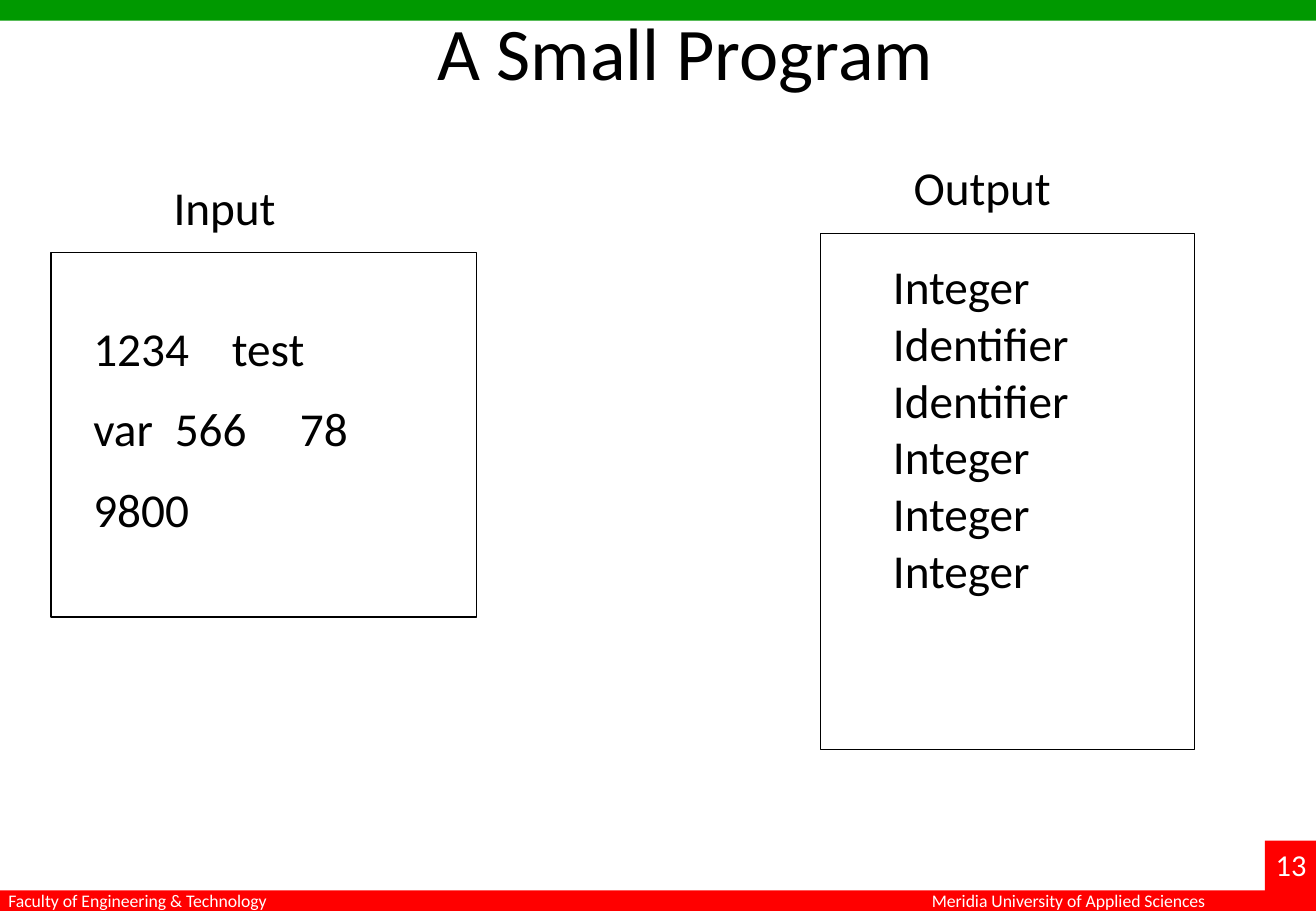
from dataclasses import dataclass
from typing import Optional

import pptx
import pptx.dml.color
import pptx.enum.shapes
import pptx.oxml.ns
import pptx.util
from lxml import etree
from pptx.util import Inches

GREEN = pptx.dml.color.RGBColor(0x00, 0x99, 0x00)
RED = pptx.dml.color.RGBColor(0xFF, 0x00, 0x00)
WHITE = pptx.dml.color.RGBColor(0xFF, 0xFF, 0xFF)
BLACK = pptx.dml.color.RGBColor(0x00, 0x00, 0x00)
FONT = "Calibri"
SLIDE_WIDTH = 10.83
SLIDE_HEIGHT = 7.5
BAND_HEIGHT = 0.17


@dataclass
class Box:
    left: float
    top: float
    width: float
    height: float
    fill: Optional[pptx.dml.color.RGBColor] = None


@dataclass
class Label:
    left: float
    top: float
    width: float
    height: float
    lines: tuple[str, ...]
    size: float = 28
    color: pptx.dml.color.RGBColor = BLACK
    space_after: float = 0
    tab_stops: tuple[tuple[float, ...], ...] = ()


BOXES = [
    Box(0, 0, SLIDE_WIDTH, BAND_HEIGHT, GREEN),
    Box(0, SLIDE_HEIGHT - BAND_HEIGHT, SLIDE_WIDTH, BAND_HEIGHT, RED),
    Box(10.41, 6.92, 0.42, 0.58, RED),
    Box(0.42, 2.08, 3.5, 3),
    Box(6.75, 1.92, 3.08, 4.25),
]

LABELS = [
    Label(-0.03, 7.28, 2.5, 0.28, ("Faculty of Engineering & Technology",), 10.5, WHITE),
    Label(7.57, 7.28, 2.7, 0.28, ("Meridia University of Applied Sciences",), 10.5, WHITE),
    Label(10.4, 6.92, 0.5, 0.4, ("13",), 18, WHITE),
    Label(3.5, 0, 4.4, 0.84, ("A Small Program",), 44),
    Label(1.33, 1.42, 1.2, 0.57, ("Input",)),
    Label(0.67, 2.58, 2.5, 1.99, ("1234\ttest", "var\t566\t78", "9800"),
          space_after=14, tab_stops=((1.14,), (0.67, 1.7), ())),
    Label(7.42, 1.25, 1.5, 0.57, ("Output",)),
    Label(7.25, 2.07, 1.9, 2.93,
          ("Integer", "Identifier", "Identifier", "Integer", "Integer", "Integer")),
]


def draw_box(slide: pptx.slide.Slide, box: Box) -> None:
    shape = slide.shapes.add_shape(
        pptx.enum.shapes.MSO_SHAPE.RECTANGLE,
        Inches(box.left), Inches(box.top), Inches(box.width), Inches(box.height))
    shape.shadow.inherit = False
    if box.fill is None:
        shape.fill.background()
        shape.line.color.rgb = BLACK
        shape.line.width = pptx.util.Pt(0.75)
    else:
        shape.fill.solid()
        shape.fill.fore_color.rgb = box.fill
        shape.line.fill.background()


def add_tab_stops(paragraph: pptx.text.text._Paragraph, stops: tuple[float, ...]) -> None:
    properties = paragraph._p.get_or_add_pPr()
    tab_list = etree.SubElement(properties, pptx.oxml.ns.qn("a:tabLst"))
    for stop in stops:
        etree.SubElement(tab_list, pptx.oxml.ns.qn("a:tab"), pos=str(Inches(stop)), algn="l")


def draw_label(slide: pptx.slide.Slide, label: Label) -> None:
    text_box = slide.shapes.add_textbox(
        Inches(label.left), Inches(label.top), Inches(label.width), Inches(label.height))
    text_frame = text_box.text_frame
    text_frame.word_wrap = True
    text_frame.text = "\n".join(label.lines)
    for paragraph, stops in zip(text_frame.paragraphs, label.tab_stops):
        if stops:
            add_tab_stops(paragraph, stops)
    for paragraph in text_frame.paragraphs:
        paragraph.space_after = pptx.util.Pt(label.space_after)
        paragraph.font.name = FONT
        paragraph.font.size = pptx.util.Pt(label.size)
        paragraph.font.color.rgb = label.color


presentation = pptx.Presentation()
presentation.slide_width = Inches(SLIDE_WIDTH)
presentation.slide_height = Inches(SLIDE_HEIGHT)
slide = presentation.slides.add_slide(presentation.slide_layouts[6])
for box in BOXES:
    draw_box(slide, box)
for label in LABELS:
    draw_label(slide, label)
presentation.save("out.pptx")
